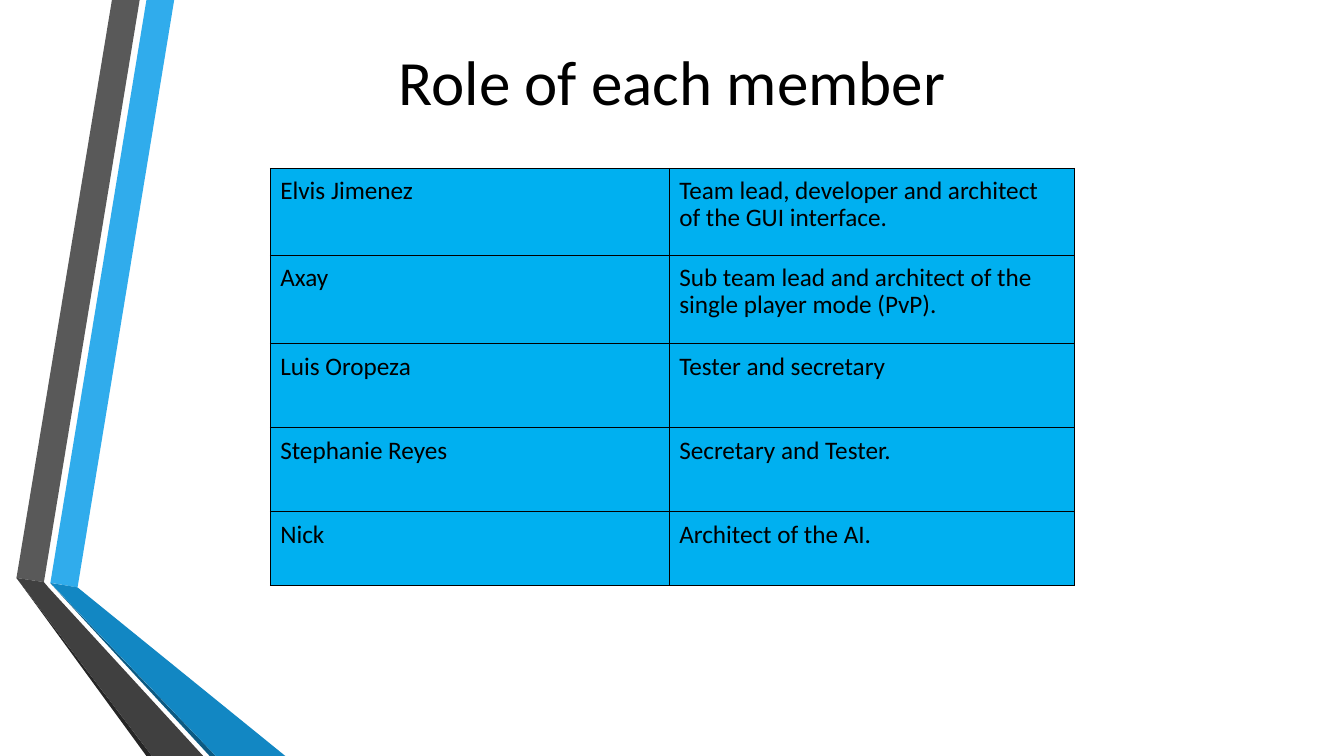
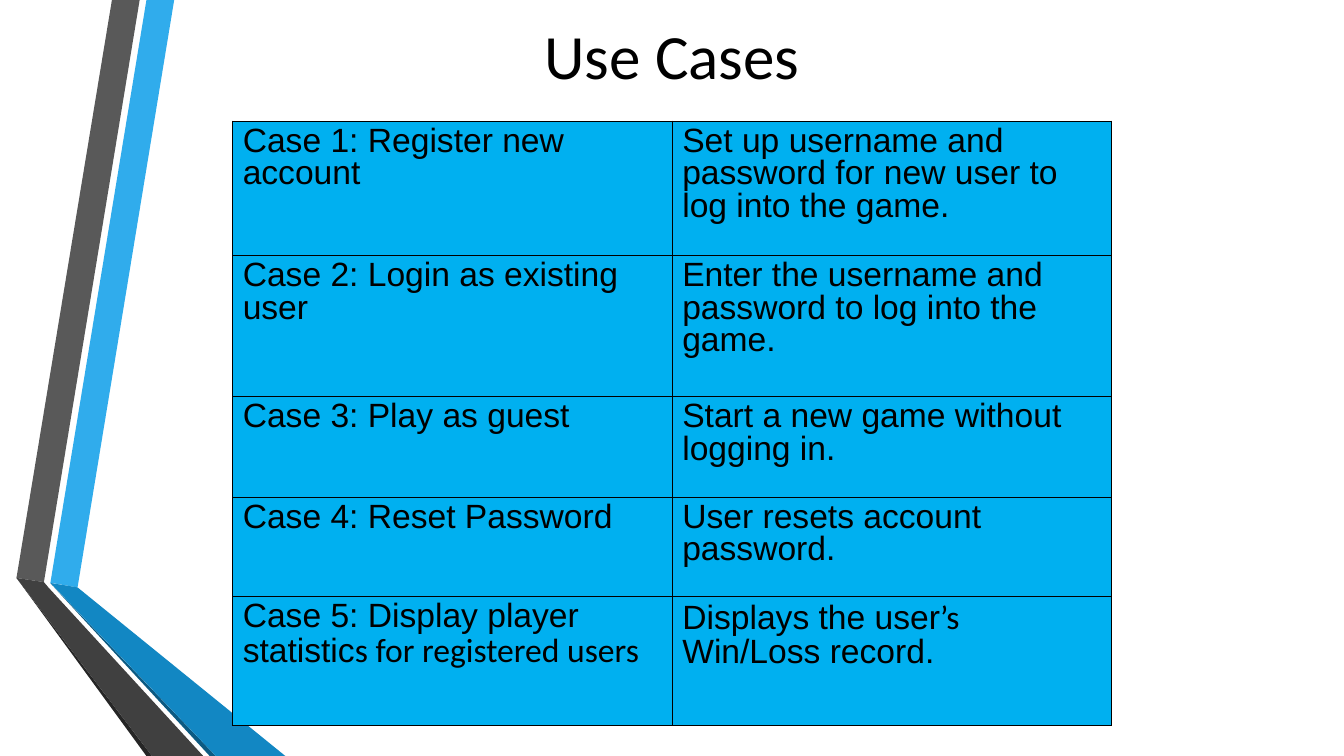
from itertools import cycle

from lxml import etree
from pptx import Presentation
from pptx.dml.color import RGBColor
from pptx.enum import text
from pptx.oxml import ns
from pptx.util import Pt

# Shared style
BLACK, CELL_BLUE = "000000", "00B0F0"
BODY_FONT, CASE_FONT = "Calibri", "Arial"
BANDS = [
    ("30ACEC", [(36, 416.2), (55.4, 419.6), (124.4, 0), (104.6, 0)]),
    ("595959", [(99.8, 0), (80, 0), (11.8, 412.8), (31.4, 415.8)]),
    ("262626", [(11.8, 412.8), (104.6, 540), (108.6, 540)]),
    ("0C5A82", [(36, 416.6), (149.8, 540), (154.2, 540)]),
    ("1287C3", [(36, 416.4), (154.2, 540), (203.8, 540), (55.4, 419.6)]),
    ("404040", [(145.2, 540), (34.6, 419.6), (31.4, 415.8),
                (11.8, 412.8), (108.6, 540)]),
]


def color(value):
    return RGBColor.from_string(value)


def set_values(target, values):
    for name, value in values.items():
        setattr(target, name, value)


class Deck:
    """Holds the presentation, its style and the current slide."""

    def __init__(self):
        self.presentation = Presentation()
        set_values(self.presentation,
                   {"slide_width": Pt(960), "slide_height": Pt(540)})
        self.slide = None

    def add_slide(self, title, top, height):
        layout = self.presentation.slide_layouts.get_by_name("Title Only")
        self.slide = self.presentation.slides.add_slide(layout)
        for fill, points in BANDS:
            self.add_band(fill, points)
        self.add_title(title, top, height)

    def add_band(self, fill, points):
        corners = [(Pt(x), Pt(y)) for x, y in points]
        builder = self.slide.shapes.build_freeform(*corners[0])
        builder.add_line_segments(corners[1:], close=True)
        shape = builder.convert_to_shape()
        shape.shadow.inherit = False
        shape.fill.solid()
        shape.fill.fore_color.rgb = color(fill)
        shape.line.fill.background()

    def add_title(self, title, top, height):
        shape = self.slide.shapes.title
        set_values(shape, {"left": Pt(222), "top": Pt(top),
                           "width": Pt(516), "height": Pt(height)})
        set_values(shape.text_frame, {
            "word_wrap": True,
            "auto_size": text.MSO_AUTO_SIZE.NONE,
            "vertical_anchor": text.MSO_ANCHOR.TOP,
        })
        paragraph = shape.text_frame.paragraphs[0]
        paragraph.alignment = text.PP_ALIGN.CENTER
        self.add_run(paragraph, title, BODY_FONT, 45)

    def add_run(self, paragraph, words, font, size):
        run = paragraph.add_run()
        run.text = words
        set_values(run.font, {"name": font, "size": Pt(size)})
        run.font.color.rgb = color(BLACK)

    def add_table(self, left, top, widths, heights, rows, font, size, margin):
        frame = self.slide.shapes.add_table(
            len(rows), len(widths), Pt(left), Pt(top),
            Pt(sum(widths)), Pt(sum(heights)))
        table = frame.table
        set_values(table, {"first_row": False, "horz_banding": False})
        for column, width in zip(table.columns, widths):
            column.width = Pt(width)
        for row, height, contents in zip(table.rows, heights, rows):
            row.height = Pt(height)
            for cell, content in zip(row.cells, contents):
                self.fill_cell(cell, content, font, size, margin)

    def fill_cell(self, cell, content, font, size, margin):
        """A tuple as content alternates between the table and body fonts."""
        set_values(cell, {"margin_left": Pt(7.2), "margin_right": Pt(7.2),
                          "margin_top": Pt(margin),
                          "margin_bottom": Pt(margin)})
        cell.fill.solid()
        cell.fill.fore_color.rgb = color(CELL_BLUE)
        paragraph = cell.text_frame.paragraphs[0]
        paragraph.line_spacing = 0.87
        pieces = content if isinstance(content, tuple) else (content,)
        for words, piece_font in zip(pieces, cycle((font, BODY_FONT))):
            self.add_run(paragraph, words, piece_font, size)
        self.add_borders(cell)

    def add_borders(self, cell):
        properties = cell._tc.get_or_add_tcPr()
        for index, side in enumerate(("lnL", "lnR", "lnT", "lnB")):
            line = etree.Element(ns.qn(f"a:{side}"), w=str(Pt(0.75)))
            fill = etree.SubElement(line, ns.qn("a:solidFill"))
            etree.SubElement(fill, ns.qn("a:srgbClr"), val=BLACK)
            properties.insert(index, line)


deck = Deck()

# Slide 1: team roles
deck.add_slide("Role of each member", top=26.6, height=54.7)
deck.add_table(
    left=193, top=120.2, widths=[285, 289.6],
    heights=[62, 63.4, 60, 60, 52.4],
    rows=[
        ("Elvis Jimenez",
         "Team lead, developer and architect of the GUI interface."),
        ("Axay",
         "Sub team lead and architect of the single player mode (PvP)."),
        ("Luis Oropeza", "Tester and secretary"),
        ("Stephanie Reyes", "Secretary and Tester."),
        ("Nick", "Architect of the AI."),
    ],
    font=BODY_FONT, size=18, margin=7.2)

# Slide 2: use cases
deck.add_slide("Use Cases", top=8, height=78.4)
deck.add_table(
    left=166.2, top=86.4, widths=[314, 314],
    heights=[96, 100.8, 72, 70.8, 92.4],
    rows=[
        ("Case 1: Register new account",
         "Set up username and password for new user to log into the game."),
        ("Case 2: Login as existing user",
         "Enter the username and password to log into the game."),
        ("Case 3: Play as guest", "Start a new game without logging in."),
        ("Case 4: Reset Password", "User resets account password."),
        (("Case 5: Display player statistic", "s for registered users"),
         ("Displays the user", "’s", " Win/Loss record.")),
    ],
    font=CASE_FONT, size=24, margin=3.6)

deck.presentation.save("out.pptx")
